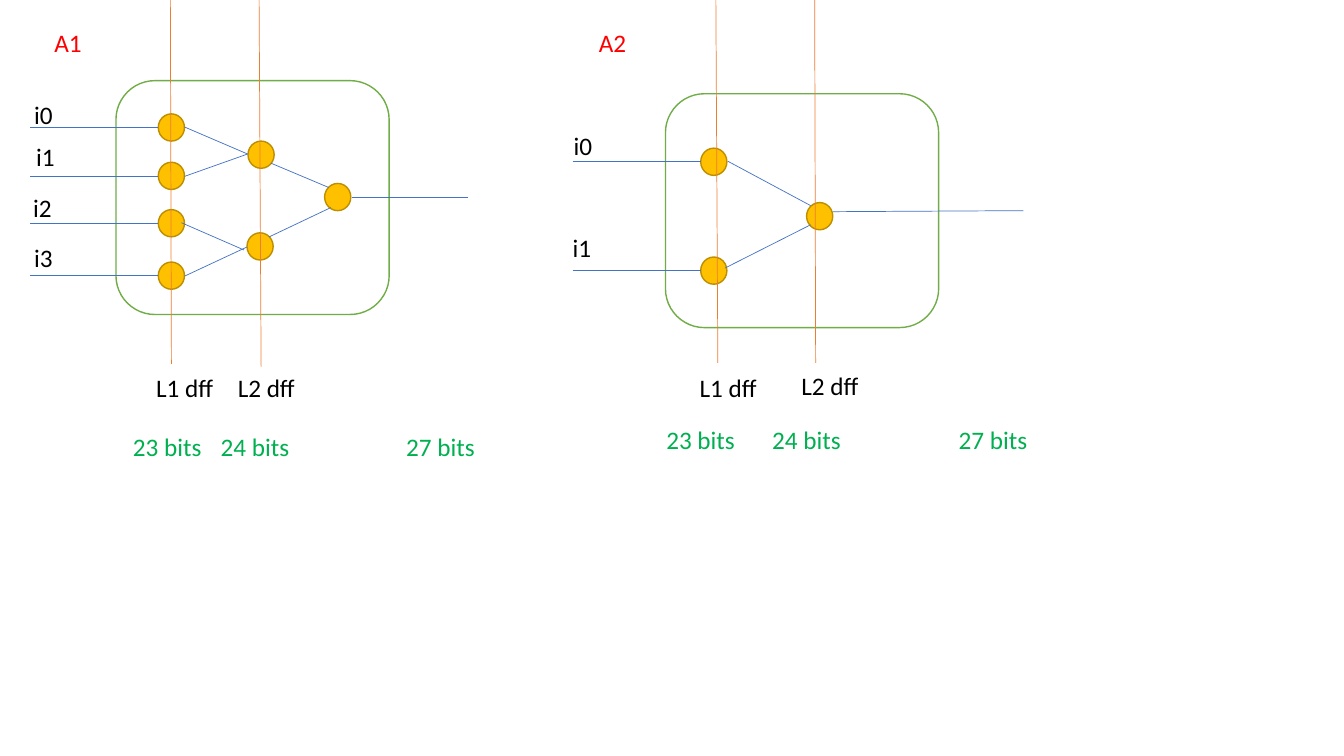
"""Builds a slide comparing two pipelined adder trees, A1 and A2."""
from dataclasses import dataclass

from lxml.etree import SubElement
from pptx import Presentation
from pptx.dml.color import RGBColor as Rgb
from pptx.enum.shapes import MSO_CONNECTOR as Connector, MSO_SHAPE as Shape
from pptx.enum.text import MSO_AUTO_SIZE as AutoSize
from pptx.oxml.ns import qn
from pptx.util import Inches, Pt


@dataclass(frozen=True)
class Theme:
    font: str = "Calibri"
    size: int = 18
    outline: float = 1
    hairline: float = 0.5
    paper: str = "FFFFFF"
    ink: str = "000000"
    heading: str = "FF0000"
    bits: str = "00B050"
    frame: str = "70AD47"
    node: str = "FFC000"
    node_edge: str = "BD8E00"
    wire: str = "4472C4"
    register: str = "ED7D31"


theme = Theme()
deck = Presentation()
deck.slide_width, deck.slide_height = Inches(13.33), Inches(7.5)
slide = deck.slides.add_slide(deck.slide_layouts[6])
COL, ROW = deck.slide_width / 13.33, deck.slide_height / 7.5
NODE_W, NODE_H = 0.26, 0.27
FRAME_W, FRAME_H = 2.71, 2.32
INPUT_LENGTH = 1.27
LABEL_H = 0.4


def add_wire(start, end, color):
    wire = slide.shapes.add_connector(
        Connector.STRAIGHT, int(start[0] * COL), int(start[1] * ROW),
        int(end[0] * COL), int(end[1] * ROW))
    wire.line.color.rgb = Rgb.from_string(color)
    wire.line.width = Pt(theme.hairline)
    SubElement(wire._element.spPr, qn("a:effectLst"))


def add_label(words, left, top, width, color):
    label = slide.shapes.add_textbox(
        int(left * COL), int(top * ROW), int(width * COL), int(LABEL_H * ROW))
    label.text_frame.word_wrap = False
    label.text_frame.auto_size = AutoSize.SHAPE_TO_FIT_TEXT
    paragraph = label.text_frame.paragraphs[0]
    paragraph.text = words
    paragraph.font.name = theme.font
    paragraph.font.size = Pt(theme.size)
    paragraph.font.color.rgb = Rgb.from_string(color)


trees = [
    dict(
        heading=("A1", 0.44), frame=(1.15, 0.8), level1=1.57,
        inputs=[("i0", 0.24, 0.94, 1.13), ("i1", 0.26, 1.35, 1.61),
                ("i2", 0.23, 1.86, 2.08), ("i3", 0.24, 2.35, 2.6)],
        adders=[(2.45, 2.31), (2.46, 1.4), (3.22, 1.82)],
        links=[((1.83, 1.26), (2.46, 1.53)), ((1.8, 2.21), (2.42, 2.48)),
               ((2.45, 1.53), (1.83, 1.75)), ((2.45, 2.45), (1.83, 2.74)),
               ((2.69, 1.62), (3.26, 1.86)), ((3.28, 2.06), (2.67, 2.35)),
               ((3.49, 1.96), (4.64, 1.96))],
        registers=[((1.69, 0), (1.7, 3.61)), ((2.57, -0.03), (2.59, 3.64))],
        stages=[("L1 dff", 1.45, 3.64), ("L2 dff", 2.26, 3.64)],
        bits=[("23 bits", 1.22), ("24 bits", 2.09), ("27 bits", 3.93)],
        bits_top=4.23),
    dict(
        heading=("A2", 5.84), frame=(6.6, 0.93), level1=6.95,
        inputs=[("i0", 5.59, 1.24, 1.47), ("i1", 5.58, 2.26, 2.55)],
        adders=[(8, 2.01)],
        links=[((7.22, 1.6), (8.04, 2.04)), ((8.04, 2.23), (7.19, 2.66)),
               ((8.26, 2.1), (10.15, 2.09))],
        registers=[((7.1, 0), (7.12, 3.6)), ((8.08, 0), (8.09, 3.6))],
        stages=[("L1 dff", 6.84, 3.64), ("L2 dff", 7.85, 3.62)],
        bits=[("23 bits", 6.51), ("24 bits", 7.56), ("27 bits", 9.41)],
        bits_top=4.16),
]

for tree in trees:
    level1 = tree["level1"]
    entry_nodes = [(level1, node_top) for *_, node_top in tree["inputs"]]
    solids = [(Shape.ROUNDED_RECTANGLE, tree["frame"], FRAME_W, FRAME_H,
               theme.paper, theme.frame)]
    solids += [(Shape.OVAL, corner, NODE_W, NODE_H, theme.node, theme.node_edge)
               for corner in entry_nodes + tree["adders"]]
    for outline, (left, top), width, height, fill, edge in solids:
        solid = slide.shapes.add_shape(
            outline, int(left * COL), int(top * ROW),
            int(width * COL), int(height * ROW))
        solid.shadow.inherit = False
        solid.fill.solid()
        solid.fill.fore_color.rgb = Rgb.from_string(fill)
        solid.line.color.rgb = Rgb.from_string(edge)
        solid.line.width = Pt(theme.outline)

    for name, left, top, node_top in tree["inputs"]:
        middle = node_top + NODE_H / 2
        add_wire((level1 - INPUT_LENGTH, middle), (level1, middle), theme.wire)
        add_label(name, left, top, 0.39, theme.ink)
    for start, end in tree["links"]:
        add_wire(start, end, theme.wire)
    for start, end in tree["registers"]:
        add_wire(start, end, theme.register)

    heading, left = tree["heading"]
    add_label(heading, left, 0.22, 0.48, theme.heading)
    for stage, left, top in tree["stages"]:
        add_label(stage, left, top, 0.78, theme.ink)
    for bits, left in tree["bits"]:
        add_label(bits, left, tree["bits_top"], 0.89, theme.bits)

deck.save("out.pptx")
